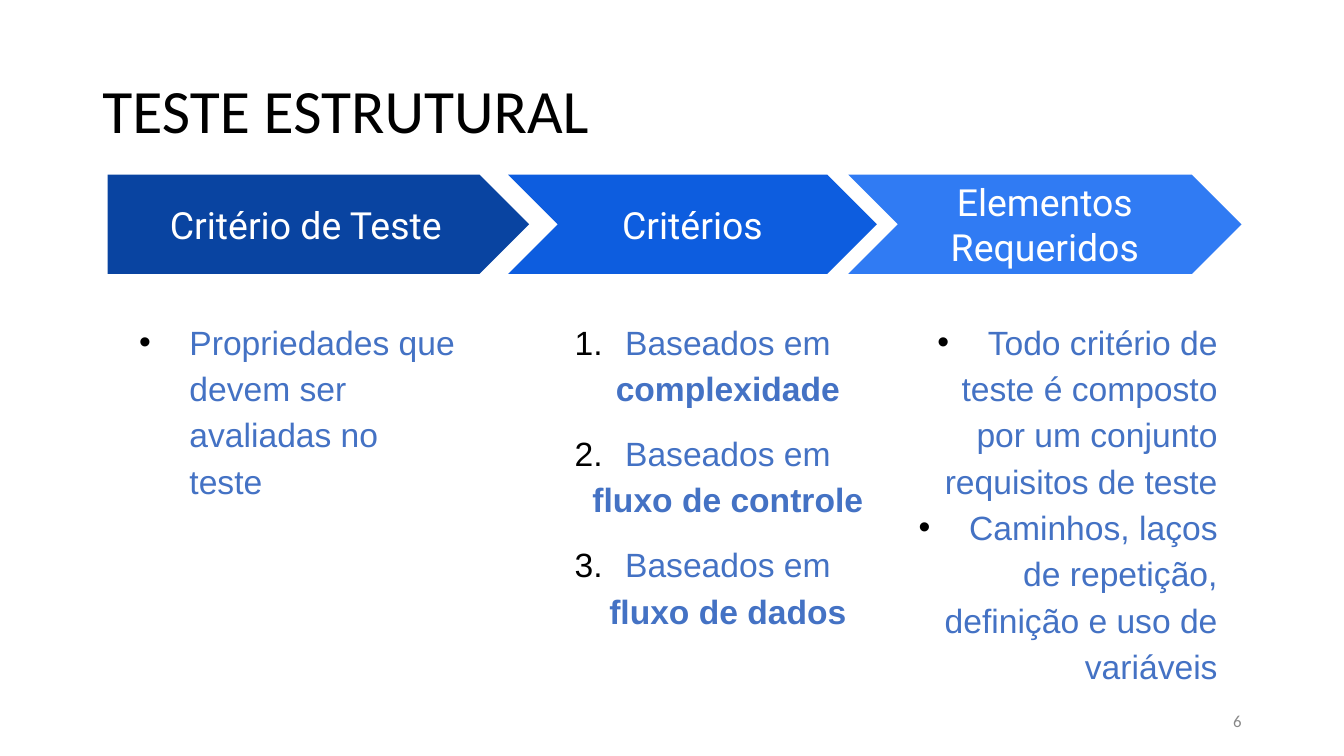
from dataclasses import dataclass
from typing import Any

from lxml import etree
from pptx import Presentation
from pptx import util as u
from pptx.dml.color import RGBColor
from pptx.enum import shapes, text
from pptx.oxml.ns import qn

WIDE, HIGH = u.Inches(13.33), u.Inches(7.5)
COLS, ROWS = 160, 90
LEFT, MID, RIGHT = text.PP_ALIGN.LEFT, text.PP_ALIGN.CENTER, text.PP_ALIGN.RIGHT
PLATE, ARROW = shapes.MSO_SHAPE.PENTAGON, shapes.MSO_SHAPE.CHEVRON
BAND_HIGH, BODY_TOP, BODY_HIGH = 11.8, 36, 45.7
BLUE, BLACK, WHITE, GREY = "4472C4", "000000", "FFFFFF", "888888"


@dataclass
class Box:
    """A place on the grid, in columns and rows."""
    col: float
    row: float
    wide: float
    high: float


@dataclass
class Style:
    """Look of the text in one frame."""
    font: str
    size: float
    color: str
    align: Any = LEFT
    space: float = 1.0
    before: float = 0
    mark: str = ""
    inset: float = 0.13
    anchor: Any = text.MSO_ANCHOR.MIDDLE


@dataclass
class Step:
    """One arrow of the band with the list below it."""
    name: str
    form: Any
    fill: str
    band: Box
    body: Box
    align: Any
    items: list[tuple[str, str]]
    mark: str = "•"
    before: float = 0


STEPS = [
    Step("Elementos Requeridos", ARROW, "307BF3", Box(101, 20.8, 46.8, BAND_HIGH),
         Box(103.9, BODY_TOP, 42.6, BODY_HIGH), RIGHT,
         [("Todo critério de teste é composto por um conjunto requisitos de teste", ""),
          ("Caminhos, laços de repetição, definição e uso de variáveis", "")]),
    Step("Critério de Teste", PLATE, "0944A1", Box(12.8, 20.8, 50.2, BAND_HIGH),
         Box(15, BODY_TOP, 41, BODY_HIGH), LEFT,
         [("Propriedades que devem ser avaliadas no teste", "")]),
    Step("Critérios", ARROW, "0D5DDF", Box(60.5, 20.8, 43.9, BAND_HIGH),
         Box(61.7, BODY_TOP, 43.9, BODY_HIGH), MID,
         [("Baseados em ", end)
          for end in ("complexidade", "fluxo de controle", "fluxo de dados")],
         "1.", 13.3),
]


def place(box: Box) -> tuple[int, int, int, int]:
    """Turn a grid box into slide lengths."""
    return (int(WIDE * box.col / COLS), int(HIGH * box.row / ROWS),
            int(WIDE * box.wide / COLS), int(HIGH * box.high / ROWS))


def paint(color: Any, code: str) -> None:
    """Set a colour from a hex string."""
    color.rgb = RGBColor.from_string(code)


def put(thing: Any, vals: dict[str, Any]) -> None:
    """Set each named attribute of a thing."""
    for key, val in vals.items():
        setattr(thing, key, val)


def add_mark(para: Any, mark: str) -> None:
    """Give a paragraph a hanging black bullet or number."""
    props = para._p.get_or_add_pPr()
    props.set("marL", str(u.Inches(0.5)))
    props.set("indent", str(-u.Inches(0.5)))
    tint = etree.SubElement(props, qn("a:buClr"))
    etree.SubElement(tint, qn("a:srgbClr"), val=BLACK)
    etree.SubElement(props, qn("a:buFont"), typeface="Arial")
    if mark == "•":
        etree.SubElement(props, qn("a:buChar"), char=mark)
    else:
        etree.SubElement(props, qn("a:buAutoNum"), type="arabicPeriod")


def write(frame: Any, items: list[tuple[str, str]], style: Style) -> None:
    """Fill a frame with paragraphs of plain and bold text."""
    side, edge = u.Inches(style.inset), u.Inches(min(style.inset, 0.13))
    if style.inset == 0.1:
        edge = u.Inches(0.05)
    put(frame, dict(word_wrap=True, vertical_anchor=style.anchor,
                    auto_size=text.MSO_AUTO_SIZE.NONE,
                    margin_left=side, margin_right=side,
                    margin_top=edge, margin_bottom=edge))
    for num, pair in enumerate(items):
        para = frame.add_paragraph() if num else frame.paragraphs[0]
        put(para, dict(alignment=style.align, line_spacing=style.space,
                       space_before=u.Pt(style.before)))
        if style.mark:
            add_mark(para, style.mark)
        for bold, words in enumerate(pair):
            if words:
                run = para.add_run()
                run.text = words
                put(run.font, dict(name=style.font, size=u.Pt(style.size),
                                   bold=bool(bold)))
                paint(run.font.color, style.color)


def add_text(slide: Any, box: Box, items: list[tuple[str, str]], style: Style) -> None:
    """Add a text box."""
    write(slide.shapes.add_textbox(*place(box)).text_frame, items, style)


def add_step(slide: Any, step: Step) -> None:
    """Draw an arrow and its list."""
    band = slide.shapes.add_shape(step.form, *place(step.band))
    band.shadow.inherit = False
    band.adjustments[0] = 0.5
    band.fill.solid()
    paint(band.fill.fore_color, step.fill)
    band.line.fill.background()
    write(band.text_frame, [(step.name, "")], Style("Roboto", 26.7, WHITE, MID))
    add_text(slide, step.body, step.items,
             Style("Arial", 24, BLUE, step.align, 1.15, step.before, step.mark,
                   anchor=text.MSO_ANCHOR.TOP))


def main() -> None:
    """Build and save the slide."""
    deck = Presentation()
    put(deck, dict(slide_width=WIDE, slide_height=HIGH))
    slide = deck.slides.add_slide(deck.slide_layouts[6])
    add_text(slide, Box(11, 4.8, 138, 17.4), [("TESTE ESTRUTURAL", "")],
             Style("Calibri", 44, BLACK, space=0.9, inset=0.1))
    add_text(slide, Box(113, 83.4, 36, 4.8), [("6", "")],
             Style("Calibri", 12, GREY, RIGHT, inset=0.1))
    for step in STEPS:
        add_step(slide, step)
    deck.save("out.pptx")


if __name__ == "__main__":
    main()
